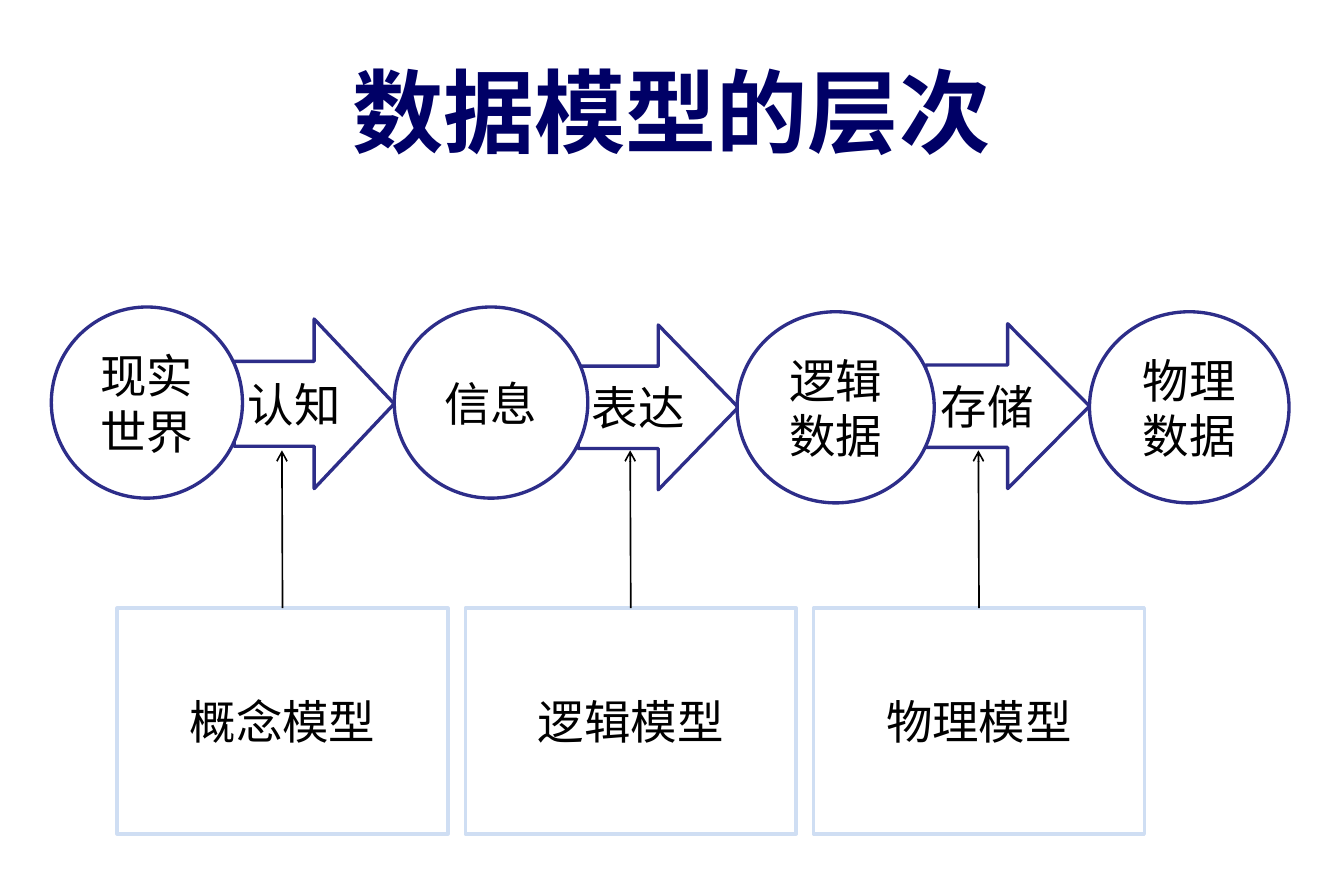
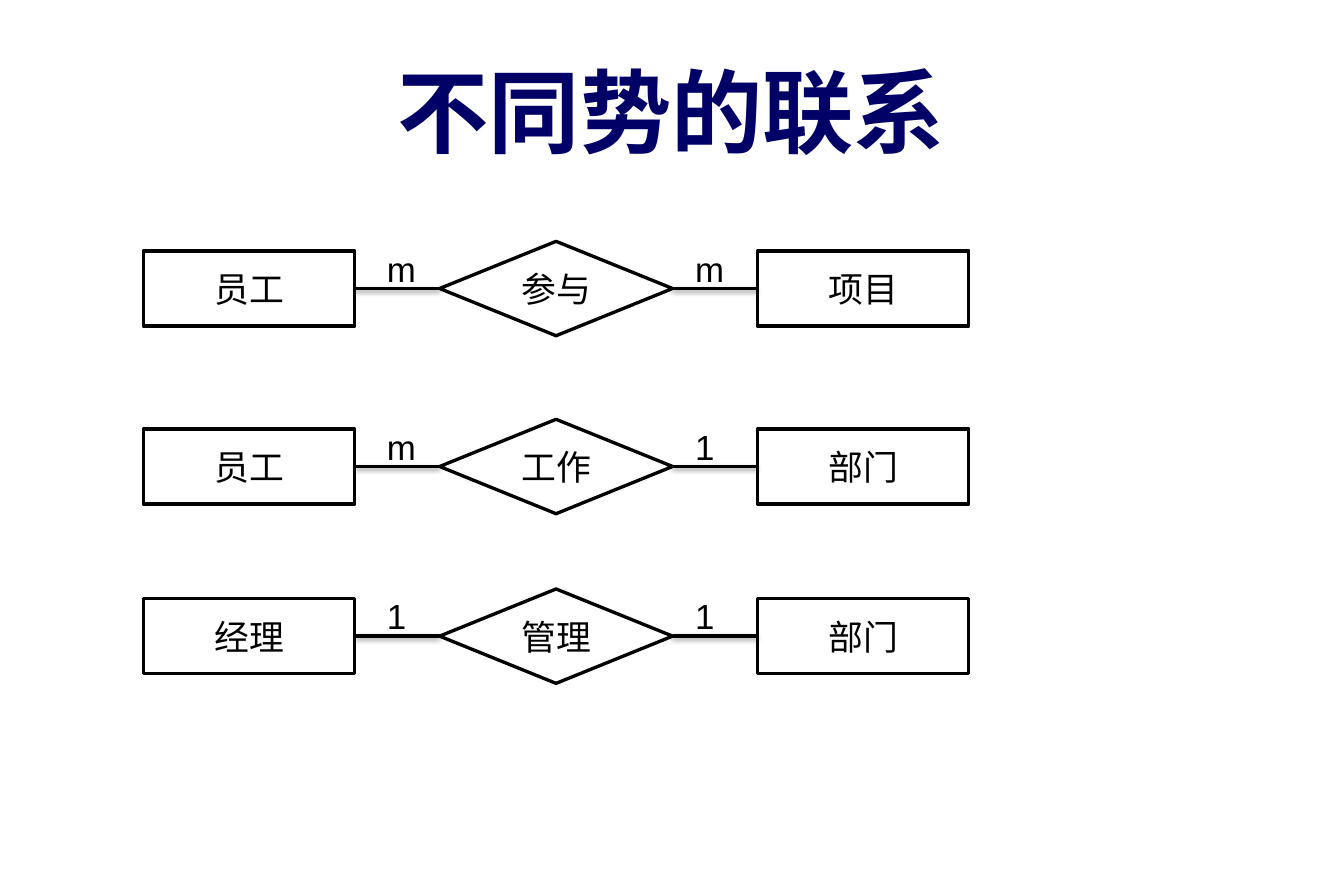
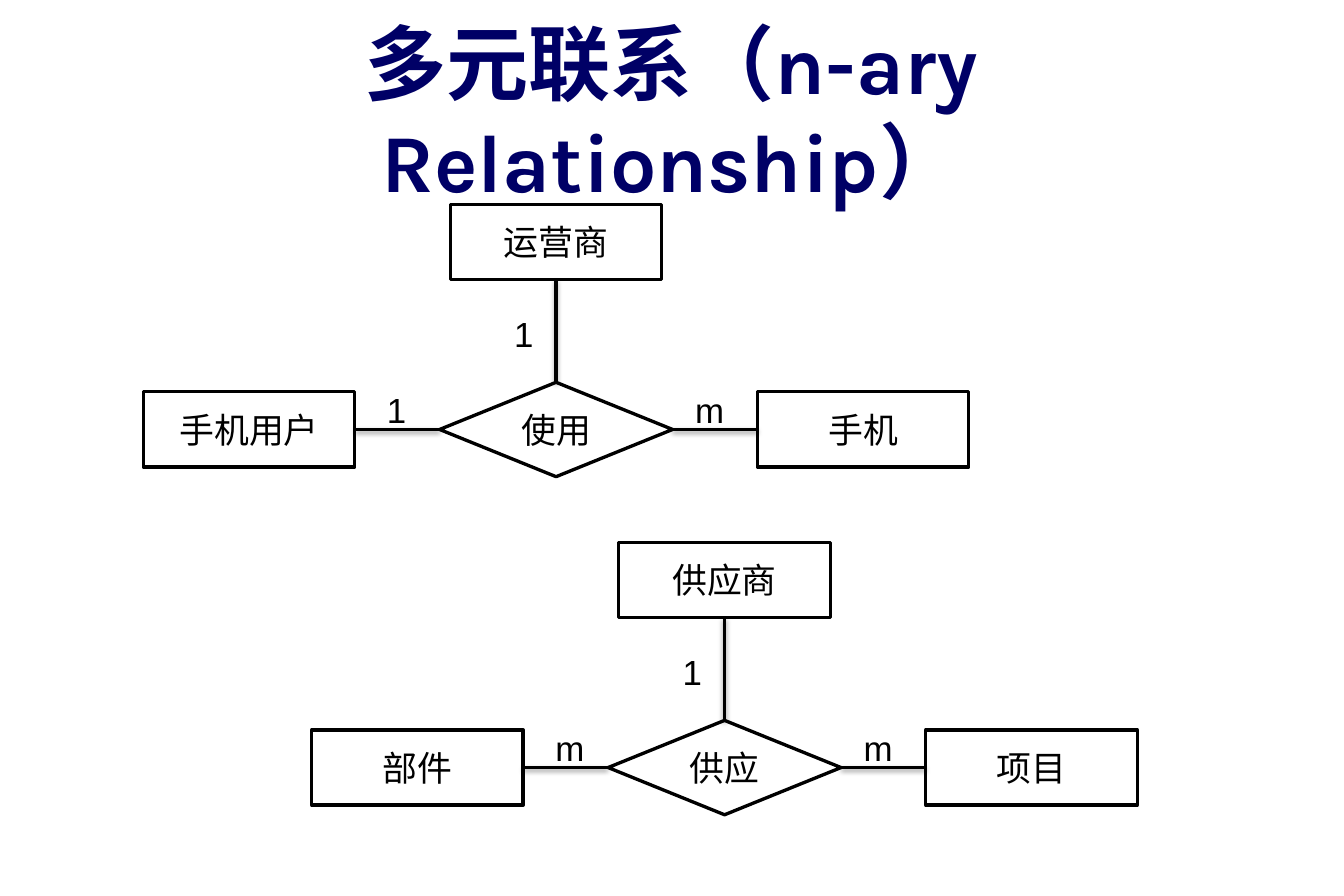
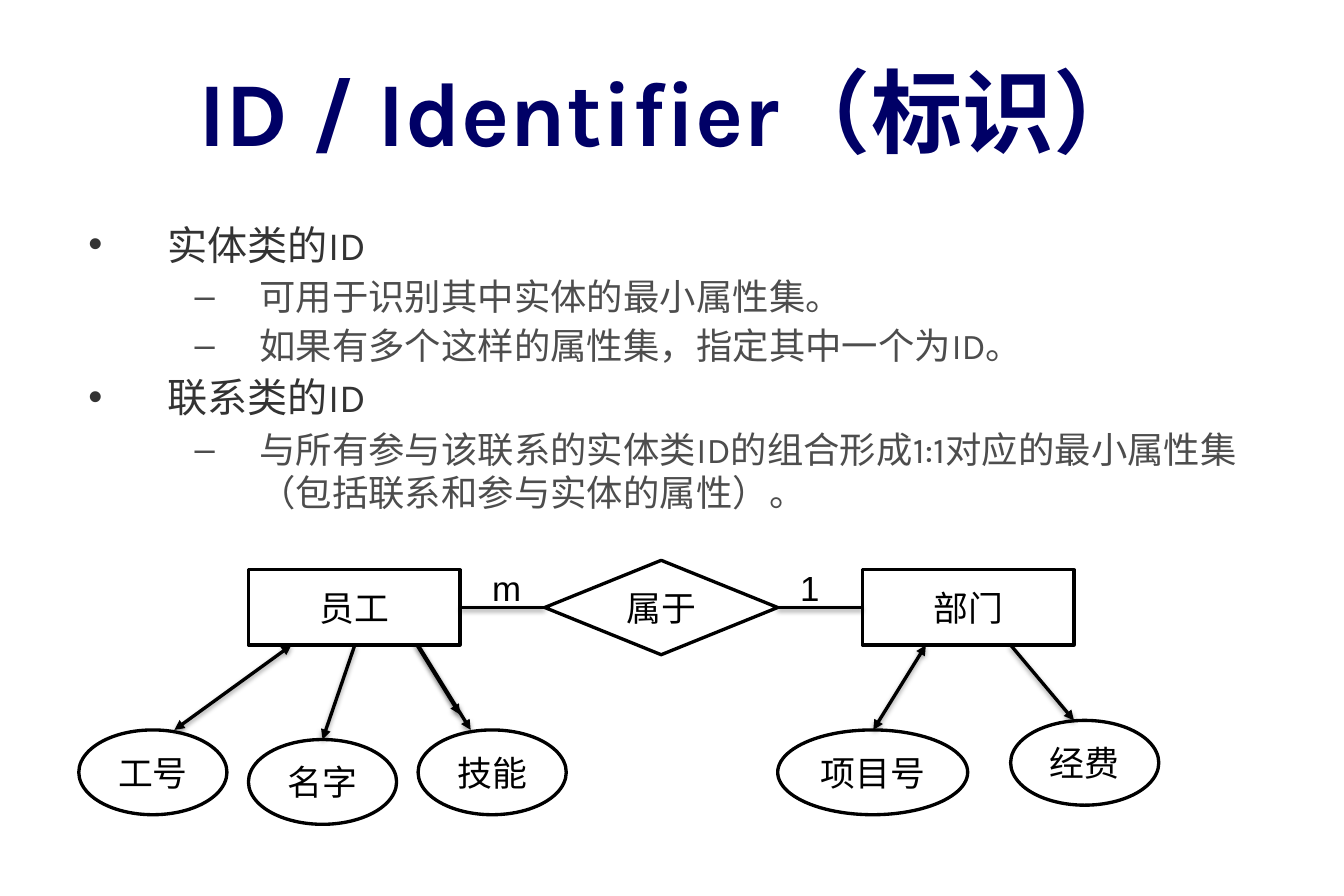
from lxml.etree import SubElement as Sub
from pptx import Presentation
from pptx.dml.color import RGBColor
from pptx.enum.shapes import MSO_CONNECTOR as Conn, MSO_SHAPE as Kind
from pptx.enum.text import MSO_ANCHOR as Anchor, MSO_AUTO_SIZE as Fit, PP_ALIGN as Align
from pptx.oxml.ns import qn
from pptx.util import Inches, Pt

# Colours and fonts
NAVY = RGBColor(0x00, 0x00, 0x66)
BLUE = RGBColor(0x2D, 0x2D, 0x89)
PALE = RGBColor(0xCF, 0xDE, 0xF3)
BLACK = RGBColor(0x00, 0x00, 0x00)
WHITE = RGBColor(0xFF, 0xFF, 0xFF)
DARK = RGBColor(0x33, 0x33, 0x33)
GREY = RGBColor(0x4D, 0x4D, 0x4D)
HEAD, SANS = "Karla", "Arial"

# Sizes of the parts of a relation diagram
BOX_W, BOX_H = 1.77, 0.63
DIA_W, DIA_H = 1.95, 0.79
GAP = 0.71
RISE = (DIA_H - BOX_H) / 2
STEP = BOX_W + GAP
FAR = STEP + DIA_W + GAP

# Bullet levels: sign, left margin, hanging indent, size, colour
LEVELS = [("•", 0.66, -0.66, 24.2, DARK), ("–", 1.43, -0.54, 21.9, GREY)]


class Deck:
    def __init__(self):
        self.prs = Presentation()
        self.prs.slide_width = Inches(11.25)
        self.prs.slide_height = Inches(7.5)
        self.slide = None

    def start(self, title, size=55, layout=5):
        """Add a slide with its title."""
        self.slide = self.prs.slides.add_slide(self.prs.slide_layouts[layout])
        frame = self.place(self.slide.shapes.title, 0.3, 1.25)
        frame.text = title
        frame.vertical_anchor = Anchor.MIDDLE
        self.style(frame, size, NAVY, HEAD, Align.CENTER, True)

    def place(self, holder, top, high):
        """Move a placeholder to the common margins."""
        holder.left, holder.top = Inches(0.56), Inches(top)
        holder.width, holder.height = Inches(10.12), Inches(high)
        frame = holder.text_frame
        frame.margin_left = frame.margin_right = Inches(0.18)
        frame.margin_top = frame.margin_bottom = Inches(0.09)
        frame.word_wrap = True
        frame.auto_size = Fit.NONE
        return frame

    def style(self, frame, size, color, face, align, bold=False):
        for para in frame.paragraphs:
            para.alignment = align
            for run in para.runs:
                self.font(run, size, color, face, bold)

    def font(self, run, size, color, face, bold=False):
        run.font.size, run.font.name, run.font.bold = Pt(size), face, bold
        run.font.color.rgb = color

    def list(self, items, top, high):
        """Fill the body placeholder with (level, text) items."""
        frame = self.place(self.slide.placeholders[1], top, high)
        frame.text = "\n".join(text for _, text in items)
        for para, (level, _) in zip(frame.paragraphs, items):
            sign, left, hang, size, color = LEVELS[level]
            para.level = level
            para.space_before, para.space_after = Pt(0), Pt(3.5)
            props = para._p.get_or_add_pPr()
            props.set("marL", str(Inches(left)))
            props.set("indent", str(Inches(hang)))
            Sub(props, qn("a:buChar"), char=sign)
            self.font(para.runs[0], size, color, HEAD)

    def shape(self, kind, x, y, w, h, text, line=BLACK, size=21):
        item = self.slide.shapes.add_shape(
            kind, Inches(x), Inches(y), Inches(w), Inches(h))
        item.shadow.inherit = False
        item.fill.solid()
        item.fill.fore_color.rgb = WHITE
        item.line.color.rgb = line
        item.line.width = Pt(2)
        frame = item.text_frame
        frame.text = text
        frame.vertical_anchor = Anchor.MIDDLE
        self.style(frame, size, BLACK, SANS, Align.CENTER)

    def box(self, x, y, text):
        self.shape(Kind.RECTANGLE, x, y, BOX_W, BOX_H, text)

    def label(self, x, y, text, width=None):
        """Small text; it wraps only if a width is given."""
        size = width or (0.45 if text == "m" else 0.36)
        item = self.slide.shapes.add_textbox(
            Inches(x), Inches(y), Inches(size), Inches(0.45))
        frame = item.text_frame
        frame.word_wrap = width is not None
        frame.auto_size = Fit.SHAPE_TO_FIT_TEXT
        frame.text = text
        self.style(frame, 21, BLACK, SANS, Align.LEFT)

    def link(self, x1, y1, x2, y2, head=None, tail=None, width=2, shade=True):
        item = self.slide.shapes.add_connector(
            Conn.STRAIGHT, Inches(x1), Inches(y1), Inches(x2), Inches(y2))
        item.line.color.rgb = BLACK
        item.line.width = Pt(width)
        props = item.element.spPr
        line = props.find(qn("a:ln"))
        for tag, end in (("a:headEnd", head), ("a:tailEnd", tail)):
            if end:
                Sub(line, qn(tag), type=end)
        effect = Sub(props, qn("a:effectLst"))
        if shade:
            cast = Sub(effect, qn("a:outerShdw"), blurRad=str(Pt(3.1)),
                       dist=str(Pt(1.6)), dir="5400000", rotWithShape="0")
            color = Sub(cast, qn("a:srgbClr"), val=str(BLACK))
            Sub(color, qn("a:alpha"), val="38000")

    def relate(self, x, y, left, near, verb, far, right):
        """Two entities joined by a diamond, with a count on each side."""
        mid = y + BOX_H / 2
        self.box(x, y, left)
        self.box(x + FAR, y, right)
        self.shape(Kind.DIAMOND, x + STEP, y - RISE, DIA_W, DIA_H, verb)
        for start, shift, count in ((x + BOX_W, 0.17, near),
                                    (x + FAR - GAP, 0.09, far)):
            self.link(start, mid, start + GAP, mid)
            self.label(start + shift, y - RISE, count)

    def crown(self, x, y, text, count):
        """Third entity above the diamond of the relation at x, y."""
        mid = x + STEP + DIA_W / 2
        top = y - 1.57
        self.box(mid - BOX_W / 2, top, text)
        self.link(mid, top + BOX_H, mid, y - RISE)
        self.label(mid - 0.45, top + 0.86, count, 0.62)


def layers(deck):
    deck.start("数据模型的层次")
    for x, y, w, h, text in ((7.75, 2.71, 1.37, 1.38, "存储"),
                             (4.84, 2.72, 1.34, 1.38, "表达"),
                             (1.96, 2.67, 1.34, 1.42, "认知")):
        deck.shape(Kind.RIGHT_ARROW, x, y, w, h, text, BLUE, 28)
    for x, y, w, text in ((0.43, 2.57, 1.6, "现实世界"),
                          (3.3, 2.57, 1.62, "信息"),
                          (6.17, 2.61, 1.65, "逻辑\n数据"),
                          (9.12, 2.61, 1.67, "物理\n数据")):
        deck.shape(Kind.OVAL, x, y, w, 1.6, text, BLUE, 28)
    for i, text in enumerate(("概念模型", "逻辑模型", "物理模型")):
        x = 0.98 + i * 2.915
        deck.shape(Kind.RECTANGLE, x, 5.09, 2.77, 1.89, text, PALE, 28)
        deck.link(x + 1.385, 5.09, x + 1.38, 3.77,
                  tail="arrow", width=1, shade=False)


def counts(deck):
    deck.start("不同势的联系")
    deck.relate(1.2, 2.1, "员工", "m", "参与", "m", "项目")
    deck.relate(1.2, 3.59, "员工", "m", "工作", "1", "部门")
    deck.relate(1.2, 5.01, "经理", "1", "管理", "1", "部门")


def many(deck):
    deck.start("多元联系（n-ary Relationship）", 49.5)
    deck.relate(1.2, 3.28, "手机用户", "1", "使用", "m", "手机")
    deck.crown(1.2, 3.28, "运营商", "1")
    deck.relate(2.61, 6.11, "部件", "m", "供应", "m", "项目")
    deck.crown(2.61, 6.11, "供应商", "1")


def keys(deck):
    deck.start("ID / Identifier（标识）", layout=1)
    deck.list([
        (0, "实体类的ID"),
        (1, "可用于识别其中实体的最小属性集。"),
        (1, "如果有多个这样的属性集，指定其中一个为ID。"),
        (0, "联系类的ID"),
        (1, "与所有参与该联系的实体类ID的组合形成1:1对应的最小属性集"
            "（包括联系和参与实体的属性）。"),
    ], 1.75, 2.71)
    # Second arrowhead of the multi-valued attribute, behind the box
    deck.link(3.85, 5.98, 3.41, 5.27, head="triangle")
    deck.relate(2.08, 4.77, "员工", "m", "属于", "1", "部门")
    # Attributes: ellipse, arrow start and end, head at the entity
    tri = "triangle"
    for x, y, w, text, x1, x2, tail in (
            (0.66, 6.11, 1.24, "工号", 1.46, 2.44, tri),
            (2.08, 6.19, 1.24, "名字", 2.7, 2.97, None),
            (3.5, 6.11, 1.24, "技能", 3.94, 3.5, None),
            (6.51, 6.11, 1.59, "项目号", 7.31, 7.75, tri),
            (8.46, 6.03, 1.24, "经费", 8.99, 8.46, None)):
        deck.shape(Kind.OVAL, x, y, w, 0.71, text)
        deck.link(x1, y, x2, 5.4, head=tri, tail=tail)


def main():
    deck = Deck()
    for build in (layers, counts, many, keys):
        build(deck)
    deck.prs.save("out.pptx")


if __name__ == "__main__":
    main()
